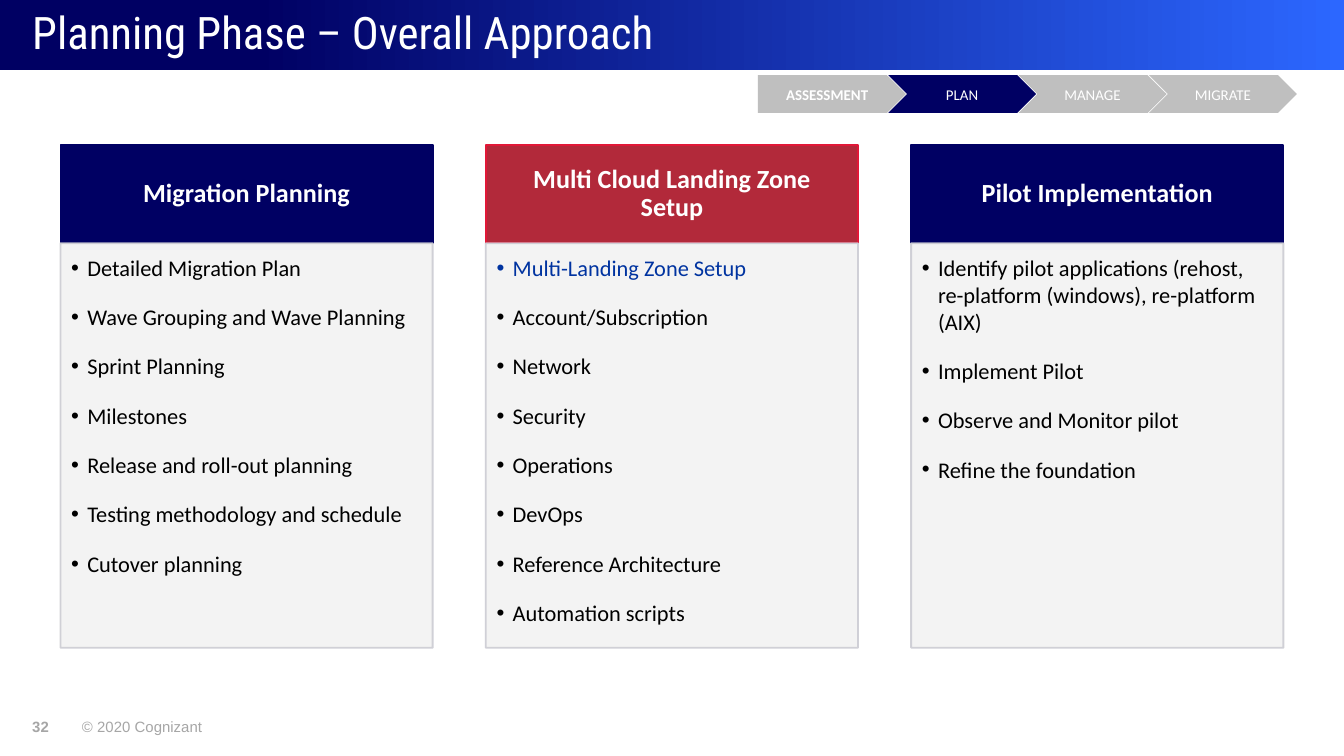
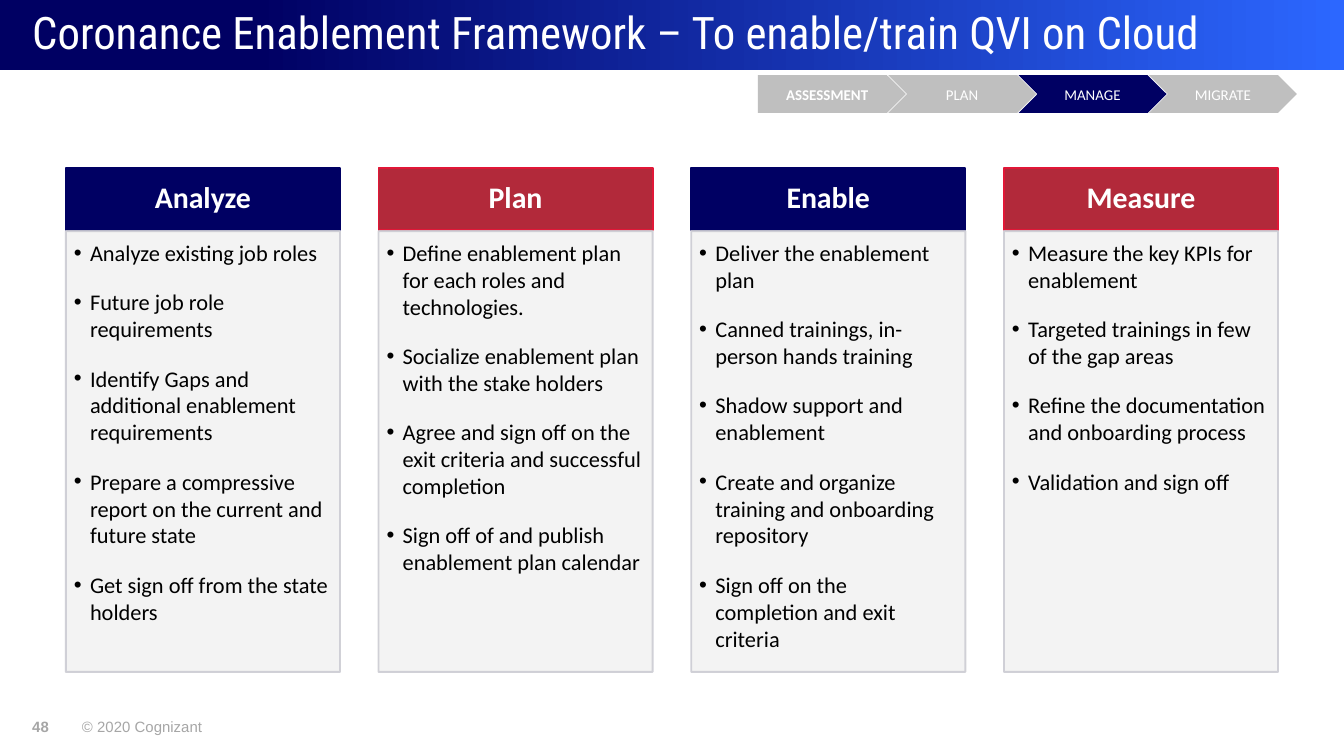
from lxml.etree import SubElement
from pptx import Presentation
from pptx.dml.color import RGBColor
from pptx.enum.shapes import MSO_SHAPE
from pptx.enum.text import MSO_ANCHOR, MSO_AUTO_SIZE, PP_ALIGN
from pptx.oxml.ns import qn
from pptx.util import Inches, Pt

RECT, PLATE, CHEVRON = MSO_SHAPE.RECTANGLE, MSO_SHAPE.PENTAGON, MSO_SHAPE.CHEVRON
TOP, MIDDLE = MSO_ANCHOR.TOP, MSO_ANCHOR.MIDDLE
LEFT, CENTER = PP_ALIGN.LEFT, PP_ALIGN.CENTER
GROW = MSO_AUTO_SIZE.SHAPE_TO_FIT_TEXT

WIDE = 10
HIGH = WIDE * 9 / 16
COLORS = {
    "navy": "000063", "blue": "2C67FF", "red": "B2293A", "rim": "E11737",
    "panel": "F2F2F2", "edge": "CCCCD3", "gray": "BFBFBF", "foot": "A6A6A6",
    "link": "0033A0", "black": "000000", "white": "FFFFFF",
}
HEADS = [("navy", "navy"), ("red", "rim")]
STAGES = ["ASSESSMENT", "PLAN", "MANAGE", "MIGRATE"]
SLIDES = [
    {
        "title": "Planning Phase – Overall Approach",
        "page": "32", "stage": "PLAN", "marked": "Multi-Landing Zone Setup",
        "left": 0.45, "width": 2.77, "head": (1.08, 0.73), "body": (1.81, 3.01),
        "size": 14, "pad": (0.11, 0.06, 0.11, 0.06), "inset": (0.08, 0.08, 0.11, 0.12),
        "columns": [
            ("Migration Planning", [
                "Detailed Migration Plan",
                "Wave Grouping and Wave Planning",
                "Sprint Planning",
                "Milestones",
                "Release and roll-out planning",
                "Testing methodology and schedule",
                "Cutover planning",
            ]),
            ("Multi Cloud Landing Zone Setup", [
                "Multi-Landing Zone Setup",
                "Account/Subscription",
                "Network",
                "Security",
                "Operations",
                "DevOps",
                "Reference Architecture",
                "Automation scripts",
            ]),
            ("Pilot Implementation", [
                "Identify pilot applications (rehost, re-platform (windows), re-platform (AIX)",
                "Implement Pilot",
                "Observe and Monitor pilot",
                "Refine the foundation",
            ]),
        ],
    },
    {
        "title": "Coronance Enablement Framework – To enable/train QVI on Cloud",
        "page": "48", "stage": "MANAGE", "marked": None,
        "left": 0.49, "width": 2.04, "head": (1.25, 0.46), "body": (1.72, 3.28),
        "size": 16, "pad": (0.24, 0.14, 0.24, 0.14), "inset": (0.06, 0.06, 0.08, 0.09),
        "columns": [
            ("Analyze", [
                "Analyze existing job roles",
                "Future job role requirements",
                "Identify Gaps and additional enablement requirements",
                "Prepare a compressive report on the current and future state",
                "Get sign off from the state holders",
            ]),
            ("Plan", [
                "Define enablement plan for each roles and technologies.",
                "Socialize enablement plan with the stake holders",
                "Agree and sign off on the exit criteria and successful completion",
                "Sign off of and publish enablement plan calendar",
            ]),
            ("Enable", [
                "Deliver the enablement plan",
                "Canned trainings, in-person hands training",
                "Shadow support and enablement",
                "Create and organize training and onboarding repository",
                "Sign off on the completion and exit criteria",
            ]),
            ("Measure", [
                "Measure the key KPIs for enablement",
                "Targeted trainings in few of the gap areas",
                "Refine the documentation and onboarding process",
                "Validation and sign off",
            ]),
        ],
    },
]


def tint(name):
    return RGBColor.from_string(COLORS[name])


def apply(target, values):
    for key, value in values.items():
        setattr(target, key, value)


def fade(shape):
    for node in shape._element.spPr.iter(qn("a:srgbClr")):
        SubElement(node, qn("a:alpha"), val="90000")


def block(slide, kind, box, fill, line=None):
    shape = slide.shapes.add_shape(kind, *map(Inches, box))
    shape.shadow.inherit = False
    shape.fill.solid()
    shape.fill.fore_color.rgb = tint(fill)
    if line:
        shape.line.color.rgb = tint(line)
        shape.line.width = Pt(1)
    else:
        shape.line.fill.background()
    return shape


def frame(shape, pad, anchor=TOP, wrap=True):
    sides = ("margin_left", "margin_top", "margin_right", "margin_bottom")
    apply(shape.text_frame, dict(zip(sides, map(Inches, pad)),
                                 vertical_anchor=anchor, word_wrap=wrap))
    return shape.text_frame


def write(para, text, size, color, font="Calibri", bold=False, **form):
    apply(para, form)
    run = para.add_run()
    run.text = text
    apply(run.font, {"name": font, "size": Pt(size), "bold": bold})
    run.font.color.rgb = tint(color)


def label(slide, box, text, size, color, font, bold=False, anchor=TOP, wrap=False, **form):
    area = slide.shapes.add_textbox(*map(Inches, box))
    text_frame = frame(area, (0, 0, 0, 0), anchor, wrap)
    if not wrap:
        text_frame.auto_size = GROW
    write(text_frame.paragraphs[0], text, size, color, font, bold, **form)


def bullets(text_frame, items, marked):
    for i, item in enumerate(items):
        para = text_frame.add_paragraph() if i else text_frame.paragraphs[0]
        props = para._p.get_or_add_pPr()
        props.set("marL", str(Inches(0.12)))
        props.set("indent", str(-Inches(0.12)))
        SubElement(props, qn("a:buFont"), typeface="Arial")
        SubElement(props, qn("a:buChar"), char="•")
        write(para, item, 12, "link" if item == marked else "black", alignment=LEFT,
              space_before=Pt(6 if i else 0), space_after=Pt(6))


def base(slide, title, page):
    band = block(slide, RECT, (0, 0, WIDE, 0.52), "navy")
    band.fill.gradient()
    band.fill.gradient_angle = 0
    for stop, (spot, name) in zip(band.fill.gradient_stops, [(0.19, "navy"), (1, "blue")]):
        stop.position = spot
        stop.color.rgb = tint(name)
    label(slide, (0.24, 5.34, 0.14, 0.13), page, 8, "foot", "Arial", True)
    label(slide, (0.61, 5.34, 0.91, 0.13), "© 2020 Cognizant", 8, "foot", "Arial")
    label(slide, (0.24, 0, 8.7, 0.52), title, 24, "white", "Roboto Condensed",
          anchor=MIDDLE, wrap=True, line_spacing=0.9)


def track(slide, stage):
    for i, name in reversed(list(enumerate(STAGES))):
        step = block(slide, CHEVRON if i else PLATE, (5.64 + 0.97 * i, 0.56, 1.1, 0.28),
                     "navy" if name == stage else "gray")
        text_frame = frame(step, (0.1, 0.05, 0.1, 0.05), MIDDLE)
        write(text_frame.paragraphs[0], name, 8, "white", bold=not i, alignment=CENTER)


def columns(slide, page):
    left, width = page["left"], page["width"]
    pitch = (WIDE - 2 * left - width) / (len(page["columns"]) - 1)
    for i, (name, items) in enumerate(page["columns"]):
        x = left + i * pitch
        top, tall = page["head"]
        head = block(slide, RECT, (x, top, width, tall), *HEADS[i % 2])
        write(frame(head, page["pad"], MIDDLE).paragraphs[0], name, page["size"], "white",
              bold=True, alignment=CENTER, line_spacing=0.9)
        top, tall = page["body"]
        body = block(slide, RECT, (x, top, width, tall), "panel", "edge")
        fade(body)
        bullets(frame(body, page["inset"]), items, page["marked"])


def main():
    deck = Presentation()
    apply(deck, {"slide_width": Inches(WIDE), "slide_height": Inches(HIGH)})
    for page in SLIDES:
        slide = deck.slides.add_slide(deck.slide_layouts[6])
        base(slide, page["title"], page["page"])
        columns(slide, page)
        track(slide, page["stage"])
    deck.save("out.pptx")


if __name__ == "__main__":
    main()
